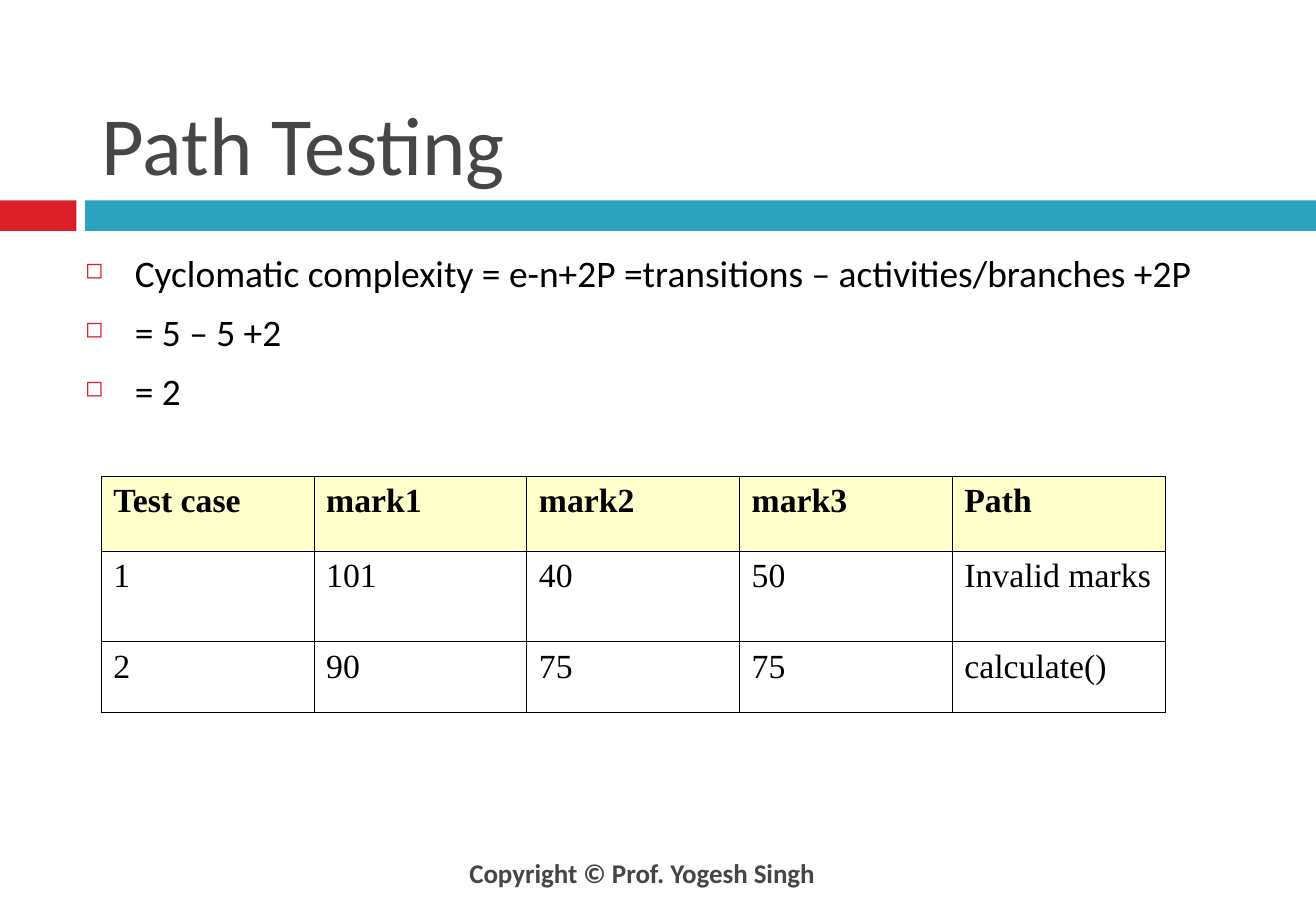
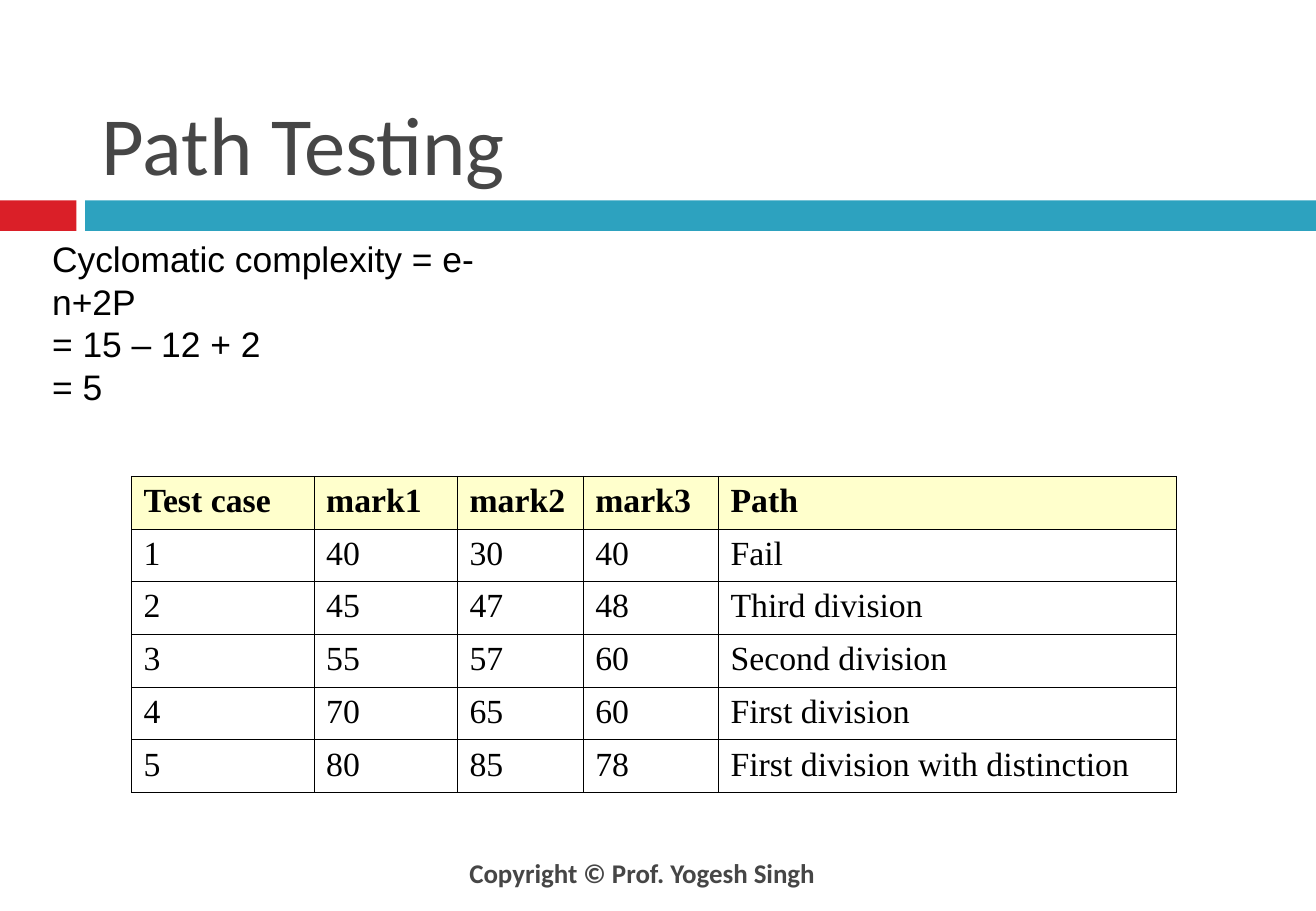
import dataclasses
import typing

import lxml.etree
import pptx
import pptx.dml.color
import pptx.enum.shapes
import pptx.enum.text
import pptx.oxml.ns
import pptx.presentation
import pptx.slide
import pptx.text.text
import pptx.util

Cm = pptx.util.Cm
Pt = pptx.util.Pt
Align = pptx.enum.text.PP_ALIGN
Anchor = pptx.enum.text.MSO_ANCHOR
Fit = pptx.enum.text.MSO_AUTO_SIZE


@dataclasses.dataclass(frozen=True)
class Theme:
    red: str = "DA1F28"
    teal: str = "2DA2BF"
    gray: str = "464646"
    black: str = "000000"
    cream: str = "FFFFCC"
    sans: str = "Calibri"
    plain: str = "Arial"
    serif: str = "Times New Roman"
    title: float = 49
    list: float = 22.2
    note: float = 21
    cell: float = 20
    foot: float = 16
    rule: float = 0.45


@dataclasses.dataclass(frozen=True)
class Box:
    left: float
    top: float
    width: float
    height: float

    def sides(self) -> tuple[int, int, int, int]:
        return Cm(self.left), Cm(self.top), Cm(self.width), Cm(self.height)


@dataclasses.dataclass(frozen=True)
class Band:
    box: Box
    color: str


@dataclasses.dataclass(frozen=True)
class Grid:
    left: float
    top: float
    cols: tuple[float, ...]
    rows: tuple[float, ...]
    cells: tuple[tuple[str, ...], ...]


THEME = Theme()
WIDTH, HEIGHT = 27.53, 19.05
BANDS = (
    Band(Box(0, 4.19, 1.6, 0.64), THEME.red),
    Band(Box(1.78, 4.19, WIDTH - 1.78, 0.64), THEME.teal),
)
TITLE = Box(1.83, 0.43, 24.54, 3.73)
FOOT = Box(5.28, 17.73, 16.31, 1.02)
HEAD = ("Test case", "mark1", "mark2", "mark3", "Path")
MARKS = Grid(2.12, 9.96, (4.45,) * 5, (1.56, 1.9, 1.48), (
    HEAD,
    ("1", "101", "40", "50", "Invalid marks"),
    ("2", "90", "75", "75", "calculate()"),
))
GRADES = Grid(2.75, 9.96, (3.82, 3, 2.63, 2.83, 9.58), (1.1,) * 6, (
    HEAD,
    ("1", "40", "30", "40", "Fail"),
    ("2", "45", "47", "48", "Third division"),
    ("3", "55", "57", "60", "Second division"),
    ("4", "70", "65", "60", "First division"),
    ("5", "80", "85", "78", "First division with distinction"),
))


def tint(code: str) -> pptx.dml.color.RGBColor:
    return pptx.dml.color.RGBColor.from_string(code)


def add_node(base: typing.Any, tag: str, **attrs: str) -> typing.Any:
    return lxml.etree.SubElement(base, pptx.oxml.ns.qn(tag), attrs)


def add_mark(para: typing.Any) -> None:
    props = para._p.get_or_add_pPr()
    props.set("marL", str(Cm(1.04)))
    props.set("indent", str(-Cm(1.04)))
    add_node(add_node(props, "a:buClr"), "a:srgbClr", val=THEME.red)
    add_node(props, "a:buSzPct", val="60000")
    add_node(props, "a:buChar", char="◻")


def write(frame: pptx.text.text.TextFrame, text: str, *, font: str, size: float,
          color: str = THEME.black, bold: bool = False, align: Align = Align.LEFT,
          gap: float = 0, mark: bool = False) -> None:
    for pos, line in enumerate(text.split("\n")):
        para = frame.add_paragraph() if pos else frame.paragraphs[0]
        if mark:
            add_mark(para)
        para.alignment = align
        para.space_before = Pt(gap if pos else 0)
        run = para.add_run()
        run.text = line
        run.font.name = font
        run.font.size = Pt(size)
        run.font.bold = bold
        run.font.color.rgb = tint(color)


def set_frame(frame: pptx.text.text.TextFrame, anchor: Anchor, *, wrap: bool = True,
              fit: Fit = Fit.NONE, side: float = 0.3, edge: float = 0.15) -> None:
    frame.word_wrap = wrap
    frame.auto_size = fit
    frame.vertical_anchor = anchor
    frame.margin_left = frame.margin_right = Cm(side)
    frame.margin_top = frame.margin_bottom = Cm(edge)


def add_bands(slide: pptx.slide.Slide) -> None:
    tree = slide.slide_layout.shapes.element
    for pos, band in enumerate(BANDS):
        shape = slide.shapes.add_shape(
            pptx.enum.shapes.MSO_SHAPE.RECTANGLE, *band.box.sides())
        shape.shadow.inherit = False
        shape.fill.solid()
        shape.fill.fore_color.rgb = tint(band.color)
        shape.line.fill.background()
        tree.insert(2 + pos, shape.element)


def add_text(slide: pptx.slide.Slide, box: Box) -> pptx.text.text.TextFrame:
    return slide.shapes.add_textbox(*box.sides()).text_frame


def add_slide(deck: pptx.presentation.Presentation, title: str) -> pptx.slide.Slide:
    slide = deck.slides.add_slide(deck.slide_layouts[5])
    shape = slide.shapes.title
    shape.left, shape.top, shape.width, shape.height = TITLE.sides()
    set_frame(shape.text_frame, Anchor.BOTTOM)
    write(shape.text_frame, title, font=THEME.sans, size=THEME.title, color=THEME.gray)
    foot = add_text(slide, FOOT)
    set_frame(foot, Anchor.MIDDLE)
    write(foot, "Copyright © Prof. Yogesh Singh", font=THEME.sans, size=THEME.foot,
          color=THEME.gray, bold=True, align=Align.CENTER)
    return slide


def add_rules(cell: typing.Any) -> None:
    props = cell._tc.get_or_add_tcPr()
    for side in ("L", "R", "T", "B"):
        line = add_node(props, f"a:ln{side}", w=str(Pt(THEME.rule)))
        add_node(add_node(line, "a:solidFill"), "a:srgbClr", val=THEME.black)


def add_grid(slide: pptx.slide.Slide, grid: Grid) -> None:
    box = Box(grid.left, grid.top, sum(grid.cols), sum(grid.rows))
    table = slide.shapes.add_table(len(grid.rows), len(grid.cols), *box.sides()).table
    table.horz_banding = False
    for col, width in zip(table.columns, grid.cols):
        col.width = Cm(width)
    for row, height in zip(table.rows, grid.rows):
        row.height = Cm(height)
    for down, texts in enumerate(grid.cells):
        for across, text in enumerate(texts):
            cell = table.cell(down, across)
            add_rules(cell)
            if down:
                cell.fill.background()
            else:
                cell.fill.solid()
                cell.fill.fore_color.rgb = tint(THEME.cream)
            write(cell.text_frame, text, font=THEME.serif, size=THEME.cell, bold=not down)


def main() -> None:
    deck = pptx.Presentation()
    deck.slide_width, deck.slide_height = Cm(WIDTH), Cm(HEIGHT)

    first = add_slide(deck, "Path Testing")
    add_bands(first)
    body = add_text(first, Box(1.48, 5.08, 26.04, 4.88))
    set_frame(body, Anchor.TOP)
    write(body, "Cyclomatic complexity = e-n+2P =transitions – activities/branches +2P\n"
          "= 5 – 5 +2\n= 2", font=THEME.sans, size=THEME.list, gap=8.2, mark=True)
    add_grid(first, MARKS)

    second = add_slide(deck, "Path Testing")
    note = add_text(second, Box(0.84, 5.28, 11.07, 2.92))
    set_frame(note, Anchor.MIDDLE, wrap=False, fit=Fit.SHAPE_TO_FIT_TEXT,
              side=0.25, edge=0.13)
    write(note, "Cyclomatic complexity = e-n+2P\n= 15 – 12 + 2\n= 5",
          font=THEME.plain, size=THEME.note)
    add_grid(second, GRADES)

    deck.save("out.pptx")


if __name__ == "__main__":
    main()
